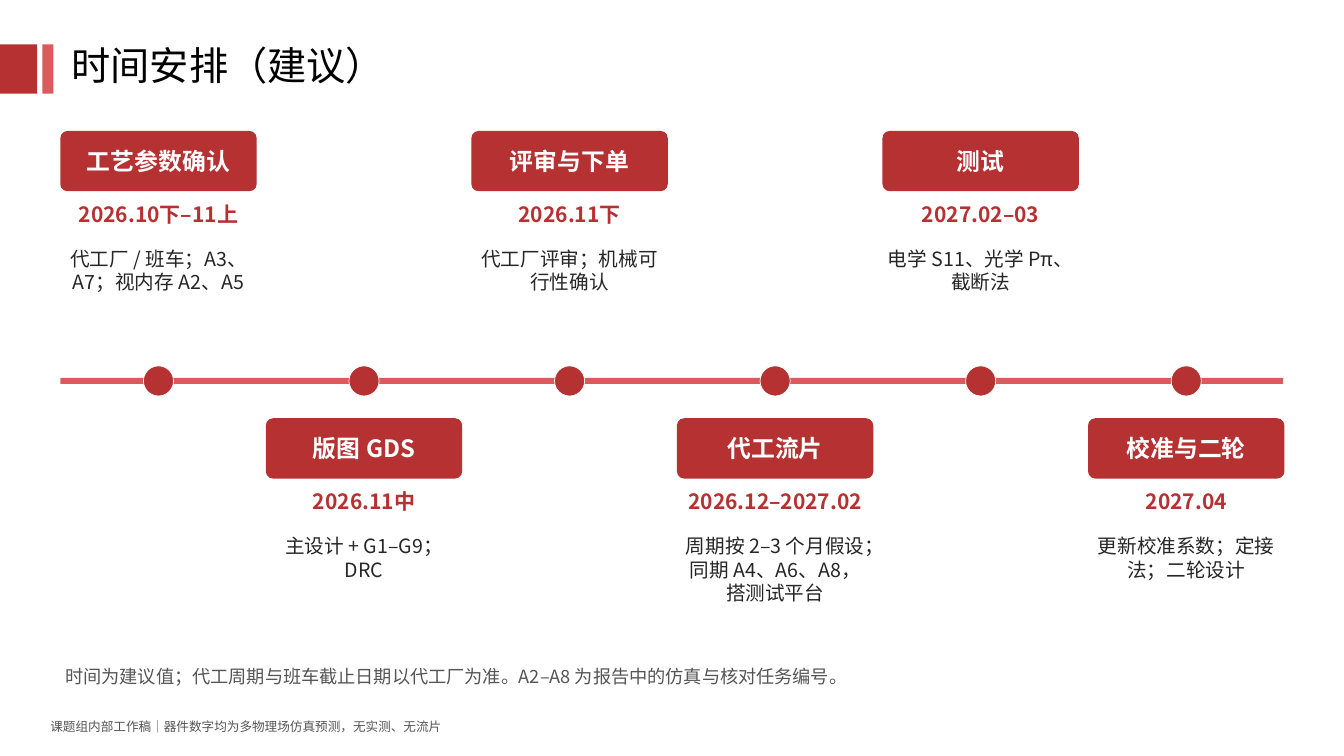
from dataclasses import dataclass

from lxml.etree import SubElement
from pptx import Presentation
from pptx.dml.color import RGBColor
from pptx.enum.shapes import MSO_SHAPE as Preset
from pptx.enum.text import MSO_ANCHOR as Anchor, MSO_AUTO_SIZE as AutoSize, PP_ALIGN as Align
from pptx.oxml.ns import qn
from pptx.util import Cm, Pt


@dataclass(frozen=True)
class Theme:
    font: str = "Noto Sans CJK SC"
    primary: str = "B53132"
    accent: str = "DC5A5D"
    white: str = "FFFFFF"
    black: str = "000000"
    body: str = "262626"
    muted: str = "555555"
    title_size: int = 28
    stage_size: int = 17
    date_size: int = 15
    task_size: int = 14
    note_size: int = 13
    footer_size: int = 9


class SlideBuilder:
    def __init__(self, slide, theme):
        self.slide = slide
        self.theme = theme

    def add_text(self, frame, text, size, color, bold=False, align=Align.LEFT):
        paragraph = frame.paragraphs[0]
        paragraph.alignment = align
        run = paragraph.add_run()
        run.text = text
        run.font.size = Pt(size)
        run.font.bold = bold
        run.font.color.rgb = RGBColor.from_string(color)
        run.font.name = self.theme.font
        SubElement(run._r.get_or_add_rPr(), qn("a:ea"), typeface=self.theme.font)
        return paragraph

    def title(self, text, left, top, width, height):
        heading = self.slide.shapes.title
        heading.left, heading.top = Cm(left), Cm(top)
        heading.width, heading.height = Cm(width), Cm(height)
        frame = heading.text_frame
        frame.word_wrap = True
        frame.auto_size = AutoSize.SHAPE_TO_FIT_TEXT
        frame.vertical_anchor = Anchor.TOP
        paragraph = self.add_text(frame, text, self.theme.title_size, self.theme.black)
        paragraph.line_spacing = 0.9

    def block(self, preset, left, top, width, height, color, outline=None):
        shape = self.slide.shapes.add_shape(preset, Cm(left), Cm(top), Cm(width), Cm(height))
        shape.shadow.inherit = False
        shape.fill.solid()
        shape.fill.fore_color.rgb = RGBColor.from_string(color)
        if outline:
            shape.line.color.rgb = RGBColor.from_string(outline)
            shape.line.width = Pt(0.5)
        else:
            shape.line.fill.background()
        return shape

    def stage(self, text, left, top, width, height):
        badge = self.block(Preset.ROUNDED_RECTANGLE, left, top, width, height, self.theme.primary)
        badge.adjustments[0] = 0.12
        frame = badge.text_frame
        frame.word_wrap = True
        frame.vertical_anchor = Anchor.MIDDLE
        frame.margin_left = frame.margin_right = Cm(0.15)
        frame.margin_top = frame.margin_bottom = Cm(0.08)
        self.add_text(frame, text, self.theme.stage_size, self.theme.white, True, Align.CENTER)

    def label(self, text, left, top, width, height, size, color, bold=False, align=Align.LEFT):
        box = self.slide.shapes.add_textbox(Cm(left), Cm(top), Cm(width), Cm(height))
        frame = box.text_frame
        frame.word_wrap = True
        frame.auto_size = AutoSize.SHAPE_TO_FIT_TEXT
        frame.margin_left = frame.margin_right = Cm(0.13)
        frame.margin_top = frame.margin_bottom = Cm(0.13)
        self.add_text(frame, text, size, color, bold, align).space_after = Pt(4)


SCHEDULE = [
    ("工艺参数确认", "2026.10下–11上", "代工厂 / 班车；A3、A7；视内存 A2、A5"),
    ("版图 GDS", "2026.11中", "主设计 + G1–G9；DRC"),
    ("评审与下单", "2026.11下", "代工厂评审；机械可行性确认"),
    ("代工流片", "2026.12–2027.02", "周期按 2–3 个月假设；同期 A4、A6、A8，搭测试平台"),
    ("测试", "2027.02–03", "电学 S11、光学 Pπ、截断法"),
    ("校准与二轮", "2027.04", "更新校准系数；定接法；二轮设计"),
]
LEFT = 1.52
PITCH = 5.18
CARD_WIDTH = 4.95
ROW_TOPS = (3.3, 10.54)
AXIS = 9.6
AXIS_HEIGHT = 0.15
DOT = 0.76


def main():
    deck = Presentation()
    deck.slide_width, deck.slide_height = Cm(33.87), Cm(19.05)
    theme = Theme()
    page = SlideBuilder(deck.slides.add_slide(deck.slide_layouts[5]), theme)

    page.block(Preset.RECTANGLE, 0, 1.12, 0.94, 1.24, theme.primary)
    page.block(Preset.RECTANGLE, 1.07, 1.12, 0.28, 1.24, theme.accent)
    page.title("时间安排（建议）", 1.55, 1.04, 26.92, 1.45)
    page.label("课题组内部工作稿｜器件数字均为多物理场仿真预测，无实测、无流片",
               1.14, 17.98, 24.13, 0.76, theme.footer_size, theme.muted)
    page.block(Preset.RECTANGLE, LEFT, AXIS - AXIS_HEIGHT / 2, 30.81, AXIS_HEIGHT, theme.accent)

    for index, (stage, date, task) in enumerate(SCHEDULE):
        left = LEFT + index * PITCH
        top = ROW_TOPS[index % 2]
        page.block(Preset.OVAL, left + (CARD_WIDTH - DOT) / 2, AXIS - DOT / 2, DOT, DOT,
                   theme.primary, theme.white)
        page.stage(stage, left, top, CARD_WIDTH, 1.52)
        page.label(date, left, top + 1.65, CARD_WIDTH, 1.02,
                   theme.date_size, theme.primary, True, Align.CENTER)
        page.label(task, left, top + 2.79, CARD_WIDTH, 3.3,
                   theme.task_size, theme.body, align=Align.CENTER)

    page.label("时间为建议值；代工周期与班车截止日期以代工厂为准。A2–A8 为报告中的仿真与核对任务编号。",
               LEFT, 16.64, 30.73, 1.14, theme.note_size, theme.muted)
    deck.save("out.pptx")


if __name__ == "__main__":
    main()
